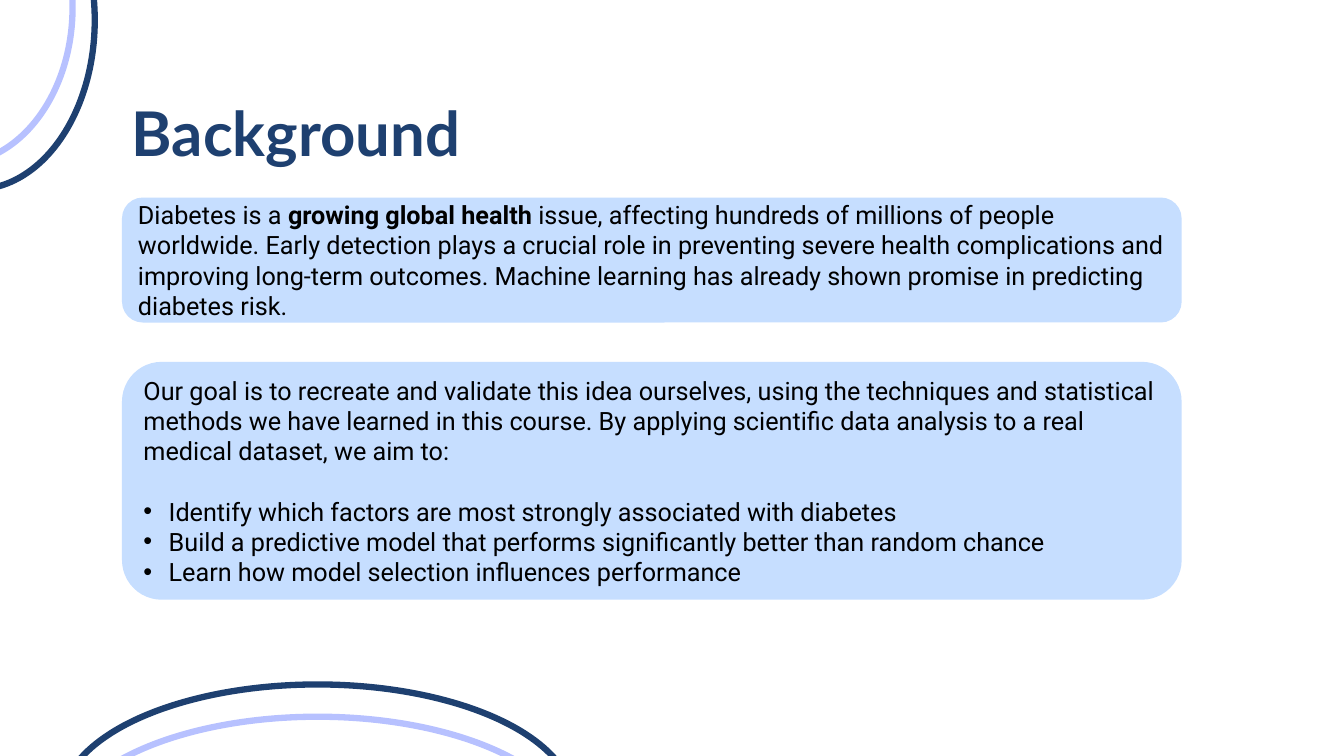
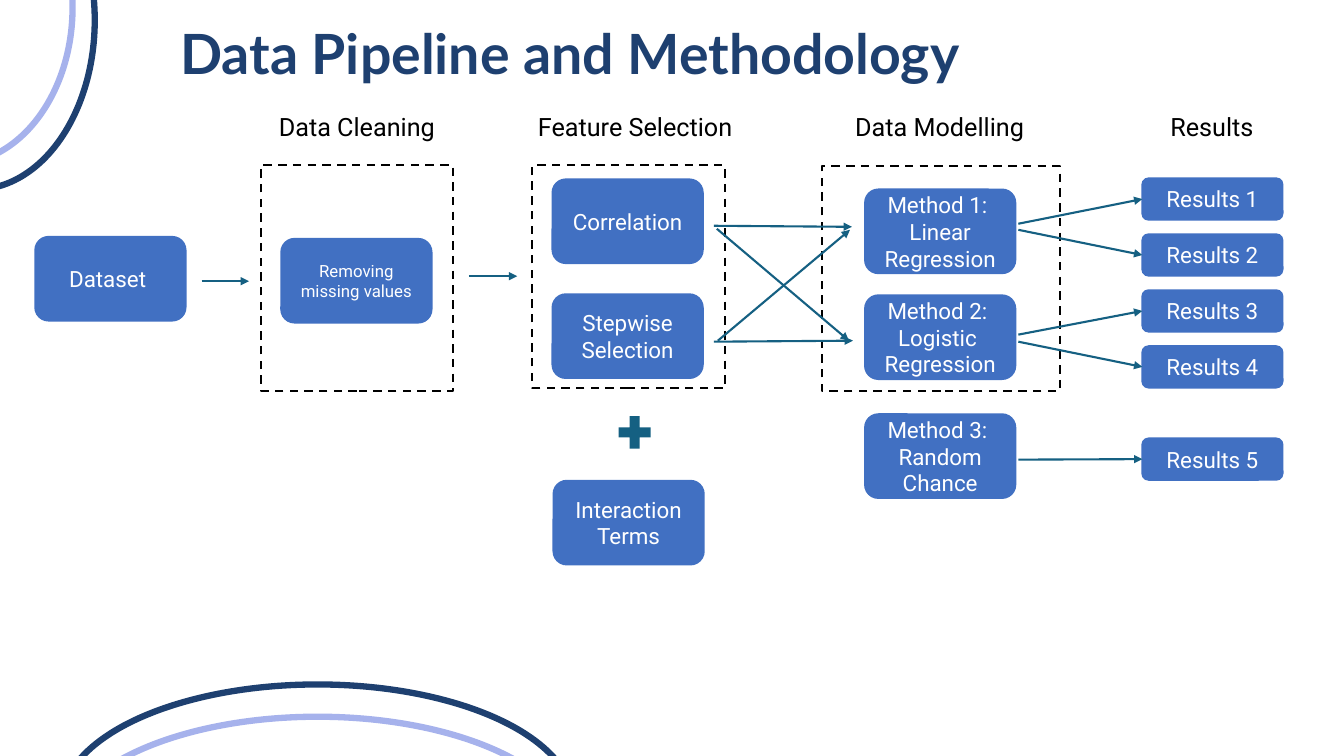
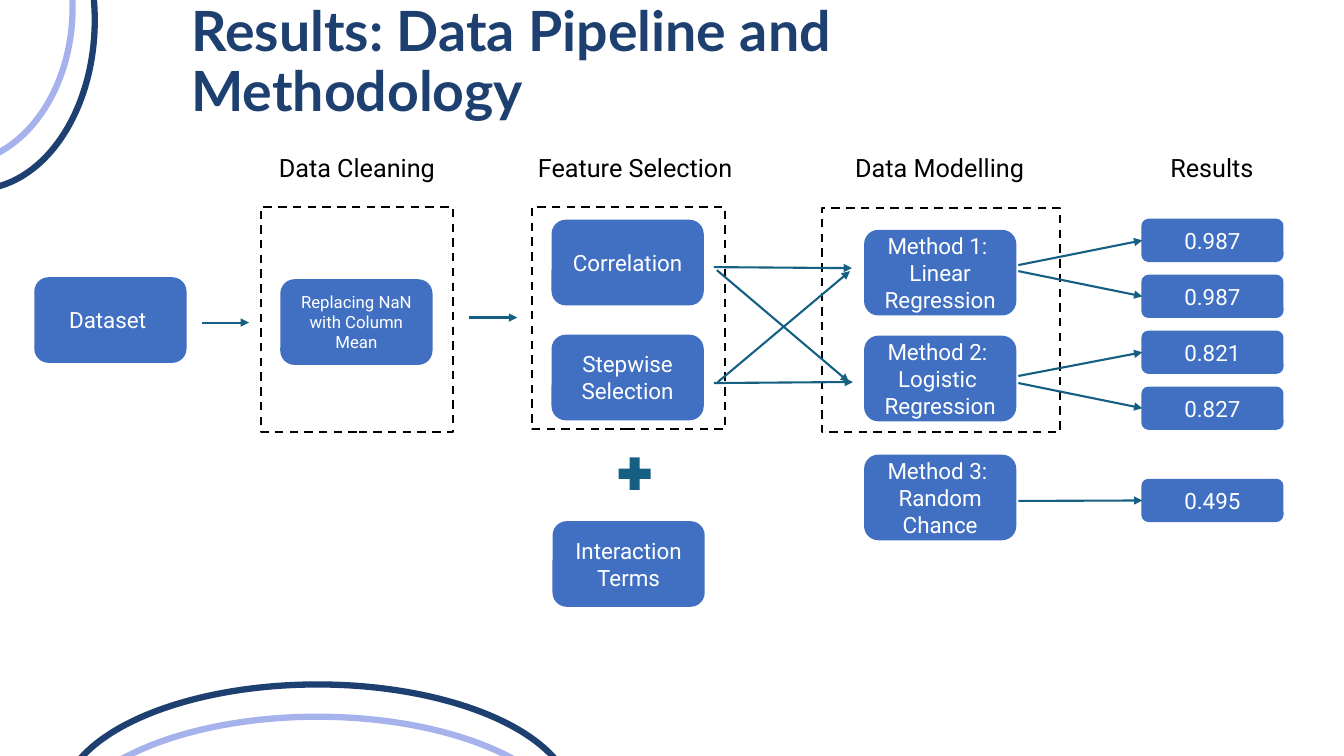
from lxml.etree import SubElement
from pptx import Presentation
from pptx.dml.color import RGBColor
from pptx.enum.dml import MSO_LINE_DASH_STYLE as Dash
from pptx.enum.shapes import MSO_CONNECTOR as Connector, MSO_SHAPE as Preset
from pptx.enum.text import MSO_ANCHOR as Anchor, PP_ALIGN as Align
from pptx.oxml.ns import qn
from pptx.util import Inches, Pt

COLOURS = {
    "navy": "1E4070",
    "lavender": "B7C1FF",
    "periwinkle": "A6B2EC",
    "sky": "C6DEFF",
    "blue": "4170C2",
    "teal": "156082",
    "black": "000000",
    "white": "FFFFFF",
}
TITLE = {"name": "Lato", "size": Pt(39.6), "bold": True}
BODY = {"name": "Roboto", "size": Pt(18)}
STEP = {"name": "Roboto", "size": Pt(16)}
SMALL_STEP = {"name": "Roboto", "size": Pt(12)}
CENTRED = {"alignment": Align.CENTER}
STEP_SIZE = (1.51, 0.85)
RESULT_SIZE = (1.41, 0.43)

ARCS = [
    (-1.42, -1.48, 2.36, 3.36, 0, True),
    (-1.64, -1.48, 2.36, 3.11, 0, False),
    (1.97, 5.43, 2.36, 5.08, 270, True),
    (1.97, 5.75, 2.36, 5.08, 270, False),
]
HEADINGS = [
    ("Data Cleaning", 3.54),
    ("Feature Selection", 6.3),
    ("Data Modelling", 9.32),
    ("Results", 12.02),
]
FRAMES = [
    (2.59, 1.64, 1.9, 2.24),
    (5.28, 1.64, 1.91, 2.21),
    (8.15, 1.65, 2.36, 2.23),
]
STEPS = [
    (["Dataset "], 0.34, 2.34),
    (["Correlation"], 5.47, 1.77),
    (["Stepwise Selection"], 5.47, 2.91),
    (["Interaction Terms"], 5.48, 4.76),
    (["Method 1: ", "Linear Regression"], 8.57, 1.87),
    (["Method 2: ", "Logistic ", "Regression"], 8.57, 2.92),
    (["Method 3: ", "Random Chance"], 8.57, 4.1),
]
FLOWS = [
    (2, 2.79, 2.47, 2.79),
    (4.65, 2.74, 5.13, 2.74),
    (7.08, 2.24, 8.45, 2.25),
    (7.11, 2.27, 8.42, 3.38),
    (7.12, 3.38, 8.43, 2.28),
    (7.08, 3.39, 8.46, 3.38),
]
RESULT_TOPS = [1.76 + 0.555 * row for row in range(4)] + [4.34]
RESULT_FLOW_STARTS = [2.22, 2.28, 3.32, 3.39, 4.56]


def colour(name):
    return RGBColor.from_string(COLOURS[name])


def apply(target, values):
    for name, value in values.items():
        setattr(target, name, value)


def write(shape, paragraphs, font, ink, layout, anchor=Anchor.MIDDLE):
    frame = shape.text_frame
    apply(frame, {"word_wrap": True, "vertical_anchor": anchor})
    for index, runs in enumerate(paragraphs):
        paragraph = frame.add_paragraph() if index else frame.paragraphs[0]
        apply(paragraph, layout)
        for text, bold in [(runs, None)] if isinstance(runs, str) else runs:
            run = paragraph.add_run()
            run.text = text
            apply(run.font, {"bold": bold, **font})
            run.font.color.rgb = colour(ink)
    return frame.paragraphs


def add_text(slide, text, box, font, ink, layout, anchor=Anchor.TOP):
    label = slide.shapes.add_textbox(*map(Inches, box))
    write(label, [text], font, ink, layout, anchor)


def add_filled(slide, preset, box, fill):
    shape = slide.shapes.add_shape(preset, *map(Inches, box))
    shape.shadow.inherit = False
    shape.fill.solid()
    shape.fill.fore_color.rgb = colour(fill)
    shape.line.fill.background()
    return shape


def add_outline(slide, preset, box, ink, line):
    shape = slide.shapes.add_shape(preset, *map(Inches, box))
    shape.shadow.inherit = False
    shape.fill.background()
    shape.line.color.rgb = colour(ink)
    apply(shape.line, line)
    return shape


def add_step(slide, paragraphs, left, top, size=STEP_SIZE, font=STEP):
    step = add_filled(slide, Preset.ROUNDED_RECTANGLE, (left, top, *size), "blue")
    write(step, paragraphs, font, "white", CENTRED)


def add_arrow(slide, start_x, start_y, end_x, end_y):
    ends = map(Inches, (start_x, start_y, end_x, end_y))
    arrow = slide.shapes.add_connector(Connector.STRAIGHT, *ends)
    arrow.line.color.rgb = colour("teal")
    arrow.line.width = Pt(1.5)
    properties = arrow._element.spPr
    SubElement(properties.find(qn("a:ln")), qn("a:tailEnd"), type="triangle")
    SubElement(properties, qn("a:effectLst"))


def add_bullet(paragraph):
    properties = paragraph._p.get_or_add_pPr()
    properties.set("marL", str(Inches(0.25)))
    properties.set("indent", str(-Inches(0.25)))
    SubElement(properties, qn("a:buFont"), typeface="Arial")
    SubElement(properties, qn("a:buChar"), char="•")


def add_base(deck, title, box, accent, size=TITLE["size"]):
    slide = deck.slides.add_slide(deck.slide_layouts[6])
    add_text(slide, title, box, {**TITLE, "size": size}, "navy",
             {"line_spacing": 0.9}, Anchor.BOTTOM)
    for *arc_box, rotation, outer in ARCS:
        arc = add_outline(slide, Preset.FLOWCHART_CONNECTOR, arc_box,
                          "navy" if outer else accent, {"width": Pt(4.5)})
        arc.rotation = rotation
    return slide


def add_background(deck):
    slide = add_base(deck, "Background", (1.21, 0.67, 6.7, 1.06), "lavender", Pt(44))
    issue = [[
        ("Diabetes is a ", None),
        ("growing global health", True),
        (" issue, affecting hundreds of millions of people worldwide. Early "
         "detection plays a crucial role in preventing severe health "
         "complications and improving long-term outcomes. Machine learning has "
         "already shown promise in predicting diabetes risk.", None),
    ]]
    goal = [
        "Our goal is to recreate and validate this idea ourselves, using the "
        "techniques and statistical methods we have learned in this course. By "
        "applying scientific data analysis to a real medical dataset, we aim to:",
        "Identify which factors are most strongly associated with diabetes",
        "Build a predictive model that performs significantly better than random chance",
        "Learn how model selection influences performance",
    ]
    for paragraphs, top, height in ((issue, 1.96, 1.24), (goal, 3.59, 2.36)):
        panel = add_filled(slide, Preset.ROUNDED_RECTANGLE,
                           (1.21, top, 10.51, height), "sky")
        written = write(panel, paragraphs, BODY, "black", {"alignment": Align.LEFT})
        for aim in written[1:]:
            add_bullet(aim)
    written[1].space_before = Pt(21.6)


def add_pipeline(deck, title, title_box, cleaning, results, drop=0):
    slide = add_base(deck, title, title_box, "periwinkle")
    for heading, centre in HEADINGS:
        add_text(slide, heading, (centre - 1.17, 1.05 + drop, 2.34, 0.42),
                 BODY, "black", CENTRED)
    for left, top, width, height in FRAMES:
        add_outline(slide, Preset.RECTANGLE, (left, top + drop, width, height),
                    "black", {"width": Pt(1.5), "dash_style": Dash.DASH})
    for paragraphs, left, top in STEPS:
        add_step(slide, paragraphs, left, top + drop)
    add_step(slide, [cleaning], 2.78, 2.36 + drop, font=SMALL_STEP)
    add_filled(slide, Preset.MATH_PLUS, (6.08, 4.07 + drop, 0.43, 0.44), "teal")
    for start_x, start_y, end_x, end_y in FLOWS:
        add_arrow(slide, start_x, start_y + drop, end_x, end_y + drop)
    for result, top, start in zip(results, RESULT_TOPS, RESULT_FLOW_STARTS):
        add_step(slide, [result], 11.32, top + drop, RESULT_SIZE)
        middle = top + RESULT_SIZE[1] / 2
        add_arrow(slide, 10.1, start + drop, 11.33, middle + drop)


def main():
    deck = Presentation()
    apply(deck, {"slide_width": Inches(13.33), "slide_height": Inches(7.5)})
    add_background(deck)
    add_pipeline(deck, "Data Pipeline and Methodology", (1.69, 0.2, 8.56, 0.71),
                 "Removing missing values",
                 [f"Results {number}" for number in range(1, 6)])
    add_pipeline(deck, "Results: Data Pipeline and Methodology",
                 (1.8, 0.56, 8.56, 0.71), "Replacing NaN with Column Mean",
                 ["0.987", "0.987", "0.821", "0.827", "0.495"], drop=0.41)
    deck.save("out.pptx")


if __name__ == "__main__":
    main()
